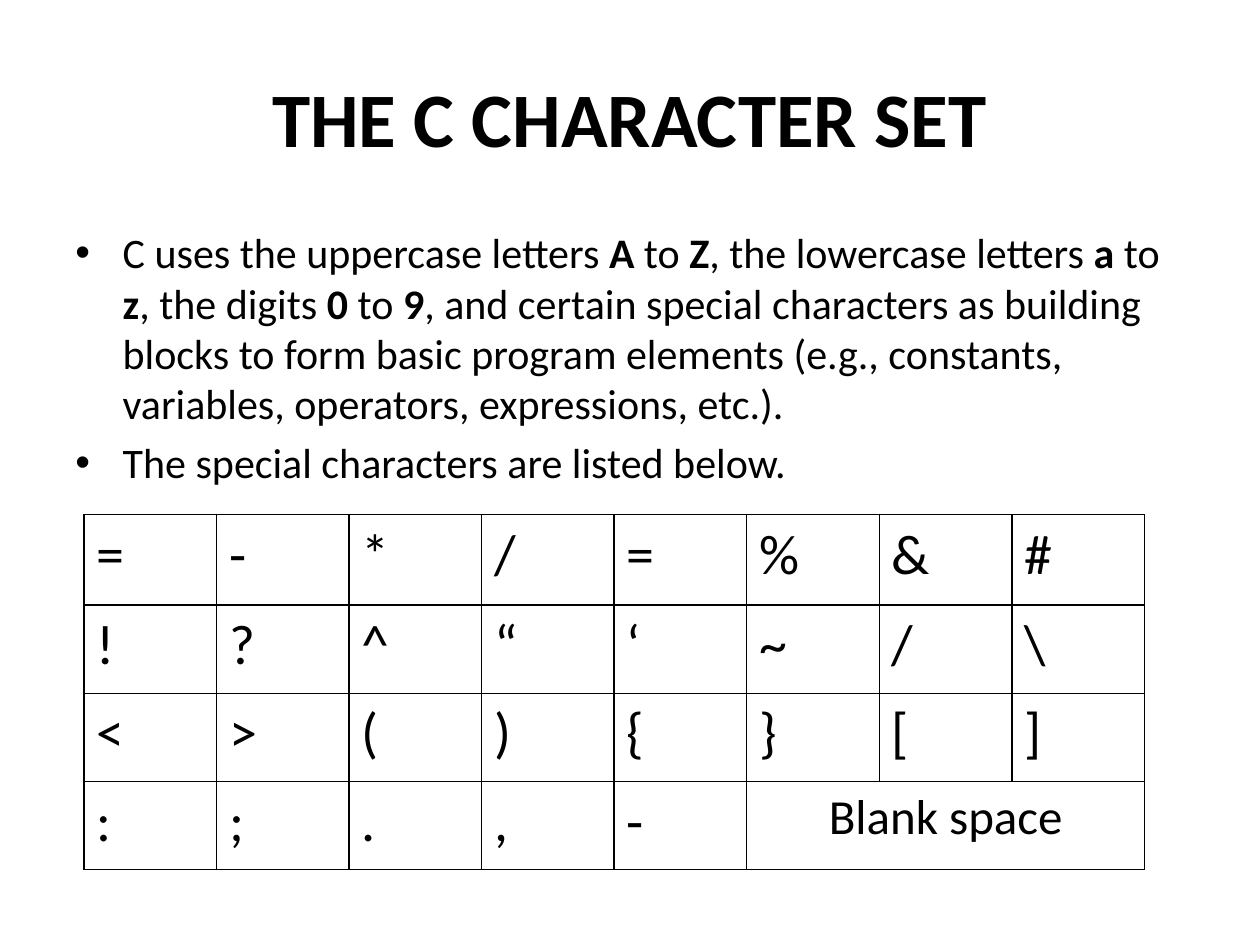
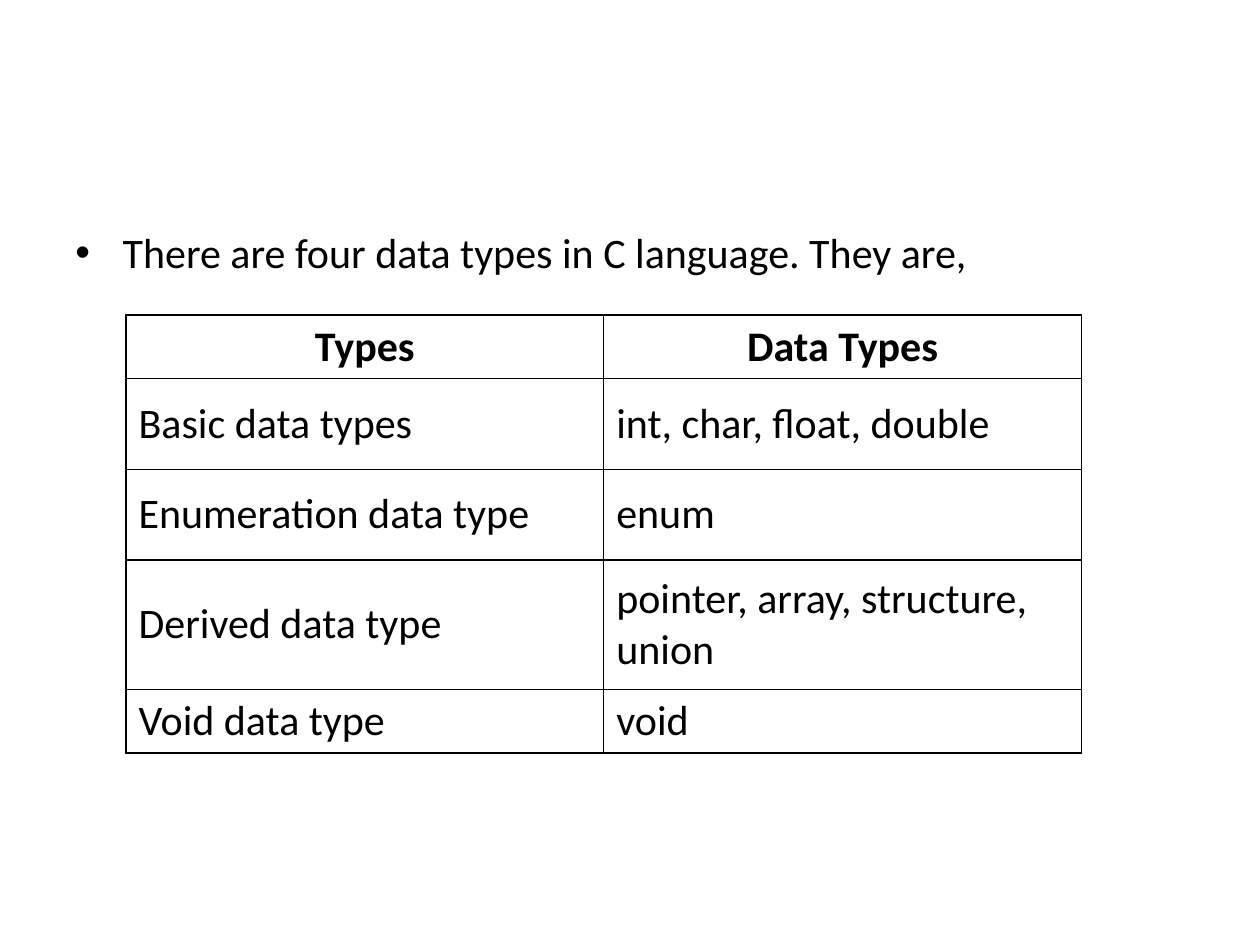
import pptx
import pptx.util
import pptx.oxml
import pptx.dml.color
import pptx.enum.text
from lxml import etree

Pt = pptx.util.Pt
ALIGN = pptx.enum.text.PP_ALIGN
ANCHOR = pptx.enum.text.MSO_ANCHOR
HUES = {"ink": "000000", "page": "FFFFFF"}
FONT = "Calibri"
BODY = (36, 126, 648, 356.4)
HANG = 27


def rgb(name):
    return pptx.dml.color.RGBColor.from_string(HUES[name])


def add_run(para, text, size, bold=False):
    run = para.add_run()
    run.text = text
    run.font.name = FONT
    run.font.size = Pt(size)
    run.font.bold = bold
    run.font.color.rgb = rgb("ink")


def add_frame(slide, box, anchor):
    frame = slide.shapes.add_textbox(*map(Pt, box)).text_frame
    frame.word_wrap = True
    frame.vertical_anchor = anchor
    return frame


def add_title(slide, box, text):
    para = add_frame(slide, box, ANCHOR.MIDDLE).paragraphs[0]
    para.alignment = ALIGN.CENTER
    add_run(para, text, 44, True)


def set_bullet(para):
    props = para._p.get_or_add_pPr()
    props.set("marL", str(Pt(HANG)))
    props.set("indent", str(-Pt(HANG)))
    font = etree.SubElement(props, pptx.oxml.ns.qn("a:buFont"))
    font.set("typeface", "Arial")
    mark = etree.SubElement(props, pptx.oxml.ns.qn("a:buChar"))
    mark.set("char", "•")


def add_points(slide, box, points):
    """Bulleted text; every second part of a point, split at |, is bold."""
    frame = add_frame(slide, box, ANCHOR.TOP)
    for row, point in enumerate(points):
        para = frame.add_paragraph() if row else frame.paragraphs[0]
        para.space_before = Pt(4.8)
        set_bullet(para)
        for part, text in enumerate(point.split("|")):
            add_run(para, text, 24, part % 2 == 1)


def set_edges(cell):
    props = cell._tc.get_or_add_tcPr()
    for spot, side in enumerate(("lnL", "lnR", "lnT", "lnB")):
        line = etree.Element(pptx.oxml.ns.qn("a:" + side), w=str(Pt(1)))
        fill = etree.SubElement(line, pptx.oxml.ns.qn("a:solidFill"))
        etree.SubElement(fill, pptx.oxml.ns.qn("a:srgbClr"), val=HUES["ink"])
        props.insert(spot, line)


def add_grid(slide, box, rows, heights):
    """Plain ruled table with equal columns."""
    cols = len(rows[0])
    grid = slide.shapes.add_table(len(rows), cols, *map(Pt, box)).table
    grid.first_row = grid.horz_banding = False
    for col in grid.columns:
        col.width = Pt(box[2] / cols)
    for row, height in zip(grid.rows, heights):
        row.height = Pt(height)
    for cell in grid.iter_cells():
        cell.fill.background()
        set_edges(cell)
    return grid


def fill_cell(cell, text, size, bold=False, align=ALIGN.LEFT, anchor=ANCHOR.TOP):
    cell.vertical_anchor = anchor
    para = cell.text_frame.paragraphs[0]
    para.alignment = align
    add_run(para, text, size, bold)


def add_signs(slide, box):
    rows = ["=-*/=%&#", "!?^“‘~/\\", "<>(){}[]", ":;.,-"]
    grid = add_grid(slide, box, rows, [51.8, 50.4, 50.4, 50.4])
    for r, row in enumerate(rows):
        for c, sign in enumerate(row):
            fill_cell(grid.cell(r, c), sign, 32)
    # The blank takes up the rest of the last row
    blank = grid.cell(3, 5)
    blank.merge(grid.cell(3, 7))
    fill_cell(blank, "Blank space", 28, align=ALIGN.CENTER)


def add_types(slide, box):
    rows = [
        ("Types", "Data Types"),
        ("Basic data types", "int, char, float, double"),
        ("Enumeration data type", "enum"),
        ("Derived data type", "pointer, array, structure, union"),
        ("Void data type", "void"),
    ]
    grid = add_grid(slide, box, rows, [36.4, 51.8, 51.8, 74, 36.4])
    for r, row in enumerate(rows):
        head = r == 0
        align = ALIGN.CENTER if head else ALIGN.LEFT
        for c, text in enumerate(row):
            fill_cell(grid.cell(r, c), text, 24, head, align, ANCHOR.MIDDLE)


def add_page(deck):
    slide = deck.slides.add_slide(deck.slide_layouts[6])
    slide.background.fill.solid()
    slide.background.fill.fore_color.rgb = rgb("page")
    return slide


def main():
    deck = pptx.Presentation()
    deck.slide_width, deck.slide_height = Pt(720), Pt(540)

    # Character set
    slide = add_page(deck)
    add_title(slide, (36, 21.6, 648, 90), "THE C CHARACTER SET")
    add_points(slide, BODY, [
        "C uses the uppercase letters |A |to |Z|, the lowercase letters |a| to "
        "|z|, the digits |0| to |9|, and certain special characters as "
        "building blocks to form basic program elements (e.g., constants, "
        "variables, operators, expressions, etc.).",
        "The special characters are listed below.",
    ])
    add_signs(slide, (48, 294, 606, 203))

    # Data types
    slide = add_page(deck)
    add_points(slide, BODY,
               ["There are four data types in C language. They are,"])
    add_types(slide, (72, 180, 546, 250.4))

    deck.save("out.pptx")


if __name__ == "__main__":
    main()
